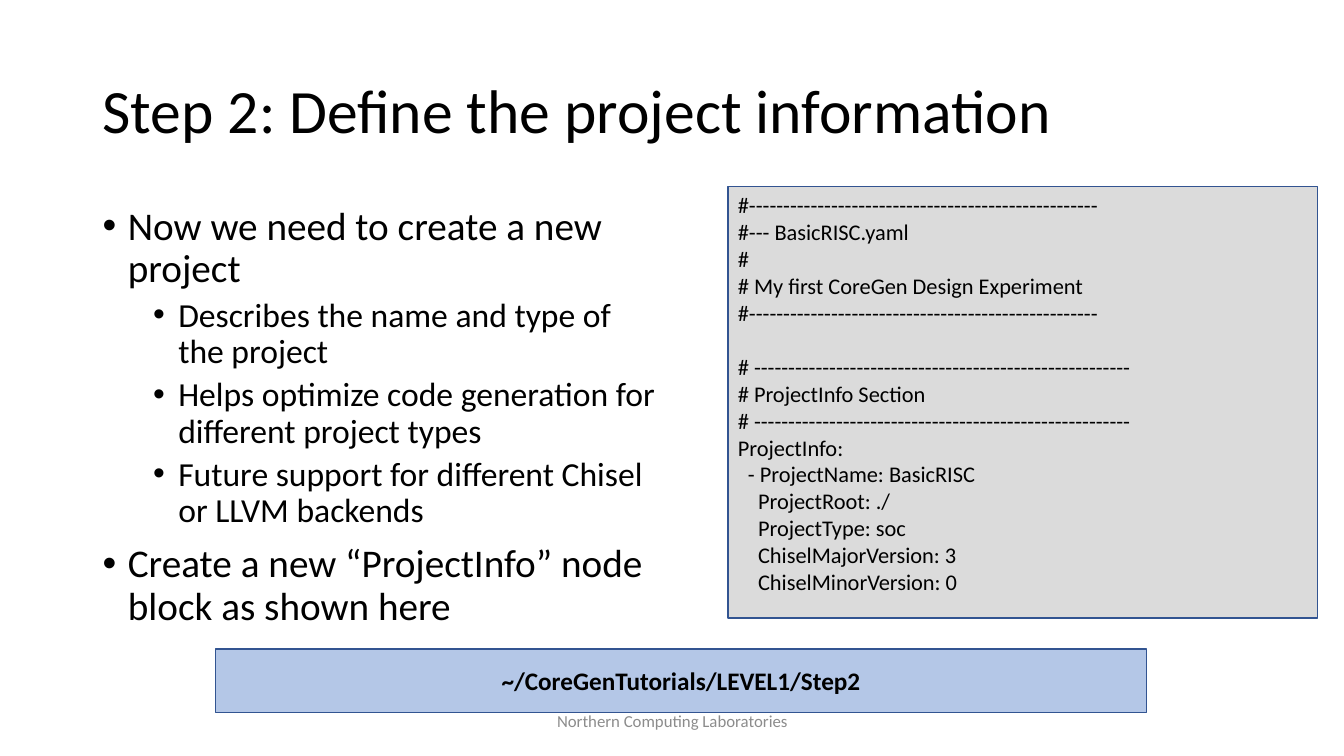
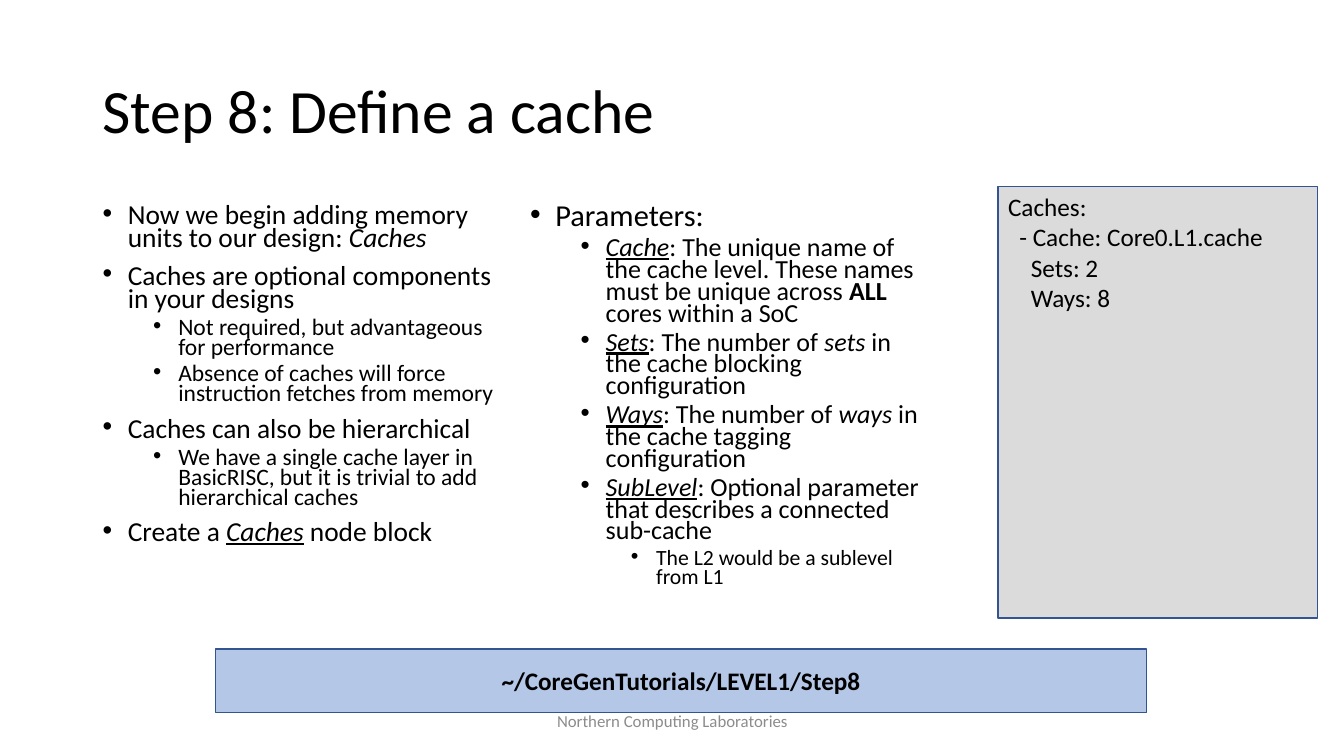
import pptx
import pptx.dml.color
import pptx.enum.shapes
import pptx.enum.text
import pptx.oxml.ns
import pptx.util
from lxml import etree

EMU_PER_PX = 9144
ALIGN = pptx.enum.text.PP_ALIGN
ANCHOR = pptx.enum.text.MSO_ANCHOR
RECTANGLE = pptx.enum.shapes.MSO_SHAPE.RECTANGLE

BODY_TOP = 200
BODY_HEIGHT = 432
CODE_TOP = 185
CODE_RIGHT = 1307
CODE_HEIGHT = 428
INDENT = 25
INDENT_STEP = 50
LINE_HEIGHT = 1.22

TERM = {"italic": True, "underline": True}
ITALIC = {"italic": True}
BOLD = {"bold": True}


def px(length):
    return pptx.util.Emu(length * EMU_PER_PX)


def color(value):
    return pptx.dml.color.RGBColor.from_string(value)


class Slides:
    """Holds the shared style and the page being built."""

    font = "Calibri"
    ink = "000000"
    muted = "8C8C8C"
    outline = "325491"
    band_fill = "B4C7E7"
    code_fill = "DBDBDB"

    def __init__(self):
        self.deck = pptx.Presentation()
        self.deck.slide_width = px(1333)
        self.deck.slide_height = px(750)
        self.page = None

    def new_page(self, title, folder):
        self.page = self.deck.slides.add_slide(self.deck.slide_layouts[6])
        heading = self.text_box(92, 40, 1150, 145, ANCHOR.MIDDLE)
        self.add_text(heading.paragraphs[0], title, 44, line_spacing=0.9)
        footer = self.text_box(442, 695, 450, 40, ANCHOR.MIDDLE)
        self.add_text(footer.paragraphs[0], "Northern Computing Laboratories", 12,
                      self.muted, alignment=ALIGN.CENTER)
        band = self.panel(214, 644, 923, 63, self.band_fill, ANCHOR.MIDDLE)
        self.add_text(band.paragraphs[0], [(folder, BOLD)], 18, alignment=ALIGN.CENTER)

    def text_box(self, left, top, width, height, anchor=ANCHOR.TOP):
        box = self.page.shapes.add_textbox(px(left), px(top), px(width), px(height))
        return self.frame(box, anchor)

    def panel(self, left, top, width, height, fill, anchor):
        box = self.page.shapes.add_shape(RECTANGLE, px(left), px(top), px(width), px(height))
        box.shadow.inherit = False
        box.fill.solid()
        box.fill.fore_color.rgb = color(fill)
        box.line.color.rgb = color(self.outline)
        box.line.width = pptx.util.Pt(1)
        return self.frame(box, anchor)

    def frame(self, box, anchor):
        box.text_frame.word_wrap = True
        box.text_frame.vertical_anchor = anchor
        return box.text_frame

    def add_text(self, para, content, size, ink=None, **layout):
        """Fill a paragraph from a string or a list of strings and (text, format) pairs."""
        for name, value in layout.items():
            setattr(para, name, value)
        for part in [content] if isinstance(content, str) else content:
            text, extra = (part, {}) if isinstance(part, str) else part
            span = para.add_run()
            span.text = text
            span.font.color.rgb = color(ink or self.ink)
            style = {"name": self.font, "size": pptx.util.Pt(size), **extra}
            for name, value in style.items():
                setattr(span.font, name, value)

    def paragraphs(self, frame, items):
        """Yield each item with its own paragraph, starting with the existing one."""
        for index, item in enumerate(items):
            yield index, frame.add_paragraph() if index else frame.paragraphs[0], item

    def bullets(self, left, width, sizes, line_spacing, items):
        """Add (level, content) items; sizes are given per level."""
        frame = self.text_box(left, BODY_TOP, width, BODY_HEIGHT)
        for index, para, (level, content) in self.paragraphs(frame, items):
            self.add_bullet(para, level)
            gap = 0 if index == 0 else 5 if level else 10
            self.add_text(para, content, sizes[level], level=level,
                          line_spacing=line_spacing, space_before=pptx.util.Pt(gap))

    def add_bullet(self, para, level):
        properties = para._p.get_or_add_pPr()
        properties.set("marL", str(px(INDENT + INDENT_STEP * level)))
        properties.set("indent", str(px(-INDENT)))
        for tag, name, value in (("buFont", "typeface", "Arial"), ("buChar", "char", "•")):
            mark = etree.SubElement(properties, pptx.oxml.ns.qn("a:" + tag))
            mark.set(name, value)

    def code(self, left, size, *blocks):
        """Add blocks of code lines, one line height apart."""
        frame = self.panel(left, CODE_TOP, CODE_RIGHT - left, CODE_HEIGHT,
                           self.code_fill, ANCHOR.TOP)
        lines = [(line, number and row == 0)
                 for number, block in enumerate(blocks)
                 for row, line in enumerate(block)]
        for _, para, (line, opens_block) in self.paragraphs(frame, lines):
            gap = size * LINE_HEIGHT if opens_block else 0
            self.add_text(para, line, size, alignment=ALIGN.LEFT,
                          space_before=pptx.util.Pt(gap))


def project_page(slides):
    slides.new_page("Step 2: Define the project information",
                    "~/CoreGenTutorials/LEVEL1/Step2")
    slides.bullets(92, 575, (28, 24), 0.9, [
        (0, "Now we need to create a new project"),
        (1, "Describes the name and type of the project"),
        (1, "Helps optimize code generation for different project types"),
        (1, "Future support for different Chisel or LLVM backends"),
        (0, "Create a new “ProjectInfo” node block as shown here"),
    ])
    file_rule = "#" + "-" * 51
    section_rule = "# " + "-" * 55
    slides.code(722, 16, [
        file_rule,
        "#--- BasicRISC.yaml",
        "#",
        "# My first CoreGen Design Experiment",
        file_rule,
    ], [
        section_rule,
        "# ProjectInfo Section",
        section_rule,
        "ProjectInfo:",
        "  - ProjectName: BasicRISC",
        "    ProjectRoot: ./",
        "    ProjectType: soc",
        "    ChiselMajorVersion: 3",
        "    ChiselMinorVersion: 0",
    ])


def cache_page(slides):
    slides.new_page("Step 8: Define a cache", "~/CoreGenTutorials/LEVEL1/Step8")
    slides.bullets(92, 410, (19.6, 16.8), 0.7, [
        (0, ["Now we begin adding memory units to our design: ", ("Caches", ITALIC)]),
        (0, "Caches are optional components in your designs"),
        (1, "Not required, but advantageous for performance"),
        (1, "Absence of caches will force instruction fetches from memory"),
        (0, "Caches can also be hierarchical"),
        (1, "We have a single cache layer in BasicRISC, but it is trivial "
            "to add hierarchical caches"),
        (0, ["Create a ", ("Caches", TERM), " node block"]),
    ])
    slides.code(990, 18, [
        "Caches:",
        "  - Cache: Core0.L1.cache",
        "    Sets: 2",
        "    Ways: 8",
    ])
    slides.bullets(516, 410, (21.7, 18.6, 15.5), 0.7, [
        (0, "Parameters:"),
        (1, [("Cache", TERM), ": The unique name of the cache level. "
             "These names must be unique across ", ("ALL", BOLD), " cores within a SoC"]),
        (1, [("Sets", TERM), ": The number of ", ("sets", ITALIC),
             " in the cache blocking configuration"]),
        (1, [("Ways", TERM), ": The number of ", ("ways", ITALIC),
             " in the cache tagging configuration"]),
        (1, [("SubLevel", TERM),
             ": Optional parameter that describes a connected sub-cache"]),
        (2, "The L2 would be a sublevel from L1"),
    ])


def main():
    slides = Slides()
    project_page(slides)
    cache_page(slides)
    slides.deck.save("out.pptx")


if __name__ == "__main__":
    main()
